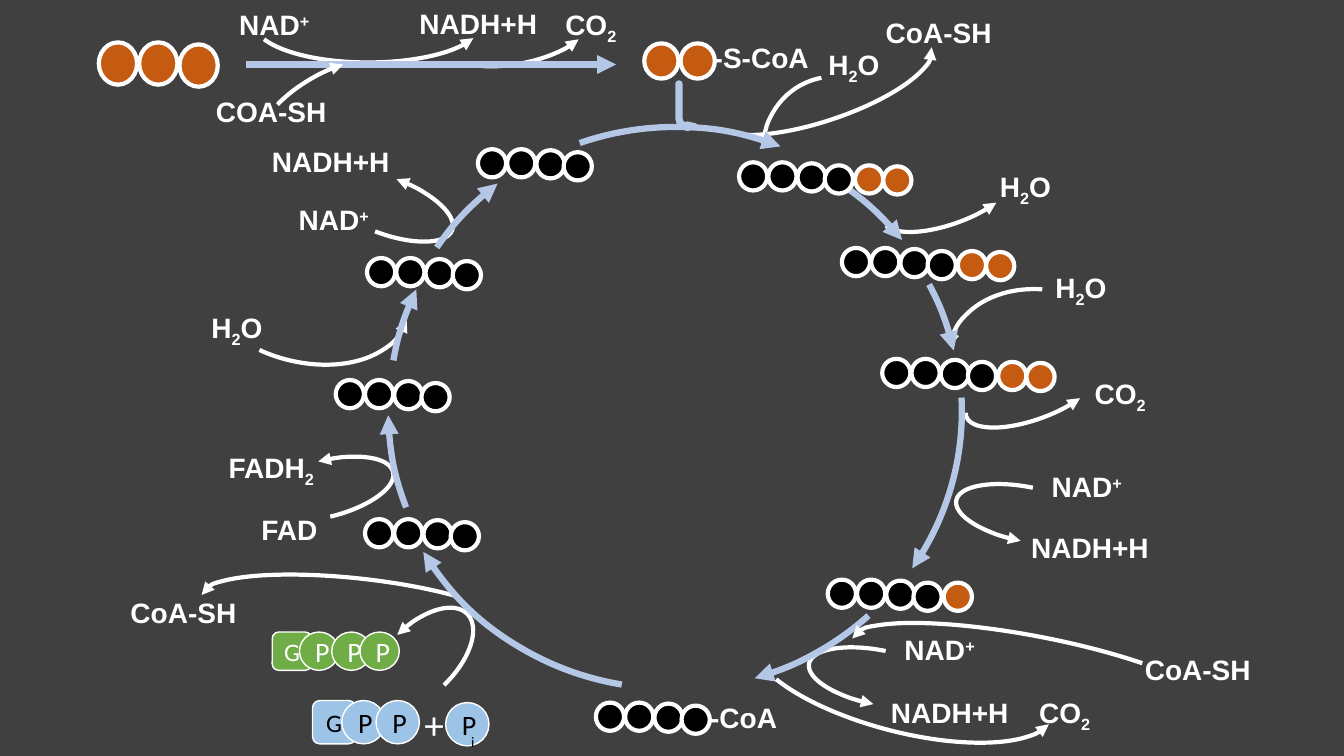
from lxml import etree
from pptx import Presentation
from pptx.dml.color import RGBColor
from pptx.enum import shapes as kinds, text as txt
from pptx.oxml import ns
from pptx.util import Inches, Pt

WHITE = RGBColor(0xFF, 0xFF, 0xFF)
BLACK = RGBColor(0, 0, 0)
GRAPHITE = RGBColor(0x40, 0x40, 0x40)
ORANGE = RGBColor(0xC5, 0x5A, 0x11)
BROWN = RGBColor(0x84, 0x3C, 0x0B)
PALE_BLUE = RGBColor(0xB4, 0xC7, 0xE7)
SKY = RGBColor(0x9D, 0xC3, 0xE6)
GREEN = RGBColor(0x70, 0xAD, 0x47)
SHAPE = kinds.MSO_SHAPE
BASELINES = {"_": "-25000", "^": "30000"}

WATER, DIOXIDE, NAD, NADH = "H|_2|O", "CO|_2", "NAD|^+", "NADH+H"
CARBON_STEPS = [(0, 0), (0.29, 0), (0.58, 0.01), (0.85, 0.03), (1.15, 0.03), (1.43, 0.04)]


def write(frame, content, size=20, font="Arial", color=WHITE, bold=False):
    paragraph = frame.paragraphs[0]
    paragraph.alignment = txt.PP_ALIGN.CENTER
    for piece in content.split("|"):
        run = paragraph.add_run()
        run.text = piece.lstrip("_^")
        run.font.size = Pt(size)
        run.font.name = font
        run.font.bold = bold
        run.font.color.rgb = color
        if piece[0] in BASELINES:
            run.font._element.set("baseline", BASELINES[piece[0]])


def label(shapes, content, left, top, width=1.04, height=0.44, wrap=True, **style):
    box = shapes.add_textbox(Inches(left), Inches(top), Inches(width), Inches(height))
    box.text_frame.word_wrap = wrap
    box.text_frame.auto_size = txt.MSO_AUTO_SIZE.SHAPE_TO_FIT_TEXT
    write(box.text_frame, content, **style)


def draw(shapes, kind, left, top, width, height, fill=None, line=WHITE, weight=3):
    part = shapes.add_shape(kind, Inches(left), Inches(top), Inches(width), Inches(height))
    part.shadow.inherit = False
    if fill is None:
        part.fill.background()
    else:
        part.fill.solid()
        part.fill.fore_color.rgb = fill
    part.line.color.rgb = line
    part.line.width = Pt(weight)
    return part


def add_arrowhead(part, end):
    etree.SubElement(part.line._get_or_add_ln(), ns.qn(f"a:{end}"), type="triangle")


def flip_vertically(part):
    part._element.spPr.find(ns.qn("a:xfrm")).set("flipV", "1")


def curve(shapes, left, top, width, height, turn, start, stop, end="headEnd", **look):
    arc = draw(shapes, SHAPE.ARC, left, top, width, height, **look)
    arc.rotation = turn
    arc.adjustments[0] = start * 0.6
    arc.adjustments[1] = stop * 0.6
    add_arrowhead(arc, end)
    return arc


def cofactors(slide, left, top, curves, labels):
    for x, y, *geometry in curves:
        curve(slide.shapes, left + x, top + y, *geometry)
    for content, x, y, *width in labels:
        label(slide.shapes, content, left + x, top + y, *width, bold=True)


def left_cofactors(slide, left, top):
    cofactors(slide, left, top, [
        (1.26, 0.76, 1.45, 2.19, 107, 269.78, 16.7),
        (0.99, 4.74, 3.13, 0.67, 6.3, 180, 344.2),
        (2.54, 5.2, 1.28, 0.68, 315.2, 270, 93.59),
        (2.14, 0.76, 1.39, 0.56, 20.5, 270, 93.59),
        (1.53, 3.57, 1.39, 0.56, 346, 270, 93.59),
    ], [
        (NAD, 1.79, 0.96), (NADH, 1.51, 0.38, 1.54), (WATER, 0.83, 2.03),
        ("FADH|_2", 1.05, 3.42, 1.28), ("FAD", 1.44, 4.04, 0.86),
        ("CoA-SH", 0.15, 4.86, 1.34),
    ])


def right_cofactors(slide, left, top):
    cofactors(slide, left, top, [
        (2.62, 2.66, 1.44, 1.87, 280.1, 269.78, 349.68),
        (1.71, 1.68, 1.41, 0.54, 159.8, 207.57, 355.41),
        (0.56, 0.77, 1.43, 1.41, 270, 269.78, 349.68),
        (-0.01, 0.47, 2.31, 0.73, 161.5, 180, 344.2),
        (2.47, 4.83, 1.41, 0.54, 191.2, 270, 93.59),
        (1.01, 6.45, 1.41, 0.54, 191.2, 270, 93.59),
        (2.54, 3.62, 1.41, 0.54, 159.8, 207.57, 3.11),
    ], [
        ("CoA-SH", 1.64, 0.1, 1.34), (WATER, 0.95, 0.42), (WATER, 2.65, 1.63),
        (WATER, 3.2, 2.63), (DIOXIDE, 3.59, 3.69), (NAD, 3.26, 4.61),
        (NADH, 3.07, 5.21, 1.48),
    ])


def lower_right_cofactors(slide, left, top):
    cofactors(slide, left, top, [
        (0, 0, 3.09, 1.1, 194.5, 183.65, 344.2),
        (1.01, 0.15, 3.64, 0.73, 10.8, 180, 344.2),
    ], [
        (NAD, 1.39, 0.07), (NADH, 1.23, 0.69, 1.56),
        (DIOXIDE, 2.63, 0.69), ("CoA-SH", 3.8, 0.26, 1.34),
    ])


def cycle_ring(slide, left, top):
    for dx, dy, start, stop in [
        (0.03, 0.03, 305.46, 322.34), (0, 0.02, 333.34, 347.53),
        (0.01, 0.01, 357.27, 33.57), (0, 0, 46.64, 73.34),
        (-0.05, -0.01, 99.82, 149.9), (0, 0, 160.09, 178.99),
        (0.01, -0.02, 189.61, 204.62), (0, -0.07, 213.23, 231.13),
        (0.01, -0.04, 250, 292),
    ]:
        curve(slide.shapes, left + dx, top + dy, 5.68, 5.54, 0, start, stop,
              end="tailEnd", line=PALE_BLUE, weight=4.5)
    entry = draw(slide.shapes, SHAPE.BENT_ARROW, left + 2.88, top - 0.47, 0.16, 0.44,
                 fill=BROWN, line=PALE_BLUE, weight=4.5)
    flip_vertically(entry)
    for index, value in enumerate((0.057, 0.108, 0.5, 0.839)):
        entry.adjustments[index] = value


def carbons(slide, places, fills, width, height):
    chain = slide.shapes.add_group_shape()
    for (x, y), fill in zip(places, fills):
        draw(chain.shapes, SHAPE.OVAL, x, y, width, height, fill=fill)


def cycle_molecules(slide, left, top):
    for x, y, orange_count in [
        (5.02, 1.16, 2), (5.42, 2.26, 2), (4.88, 4.45, 1), (0.29, 3.85, 0),
        (0, 2.47, 0), (0.31, 1.26, 0), (1.41, 0.18, 0), (4, 0.31, 2), (2.58, 5.67, 0),
    ]:
        places = [(left + x + dx, top + y + dy) for dx, dy in CARBON_STEPS]
        carbons(slide, places, [BLACK] * 4 + [ORANGE] * orange_count, 0.28, 0.28)
    label(slide.shapes, "-CoA", left + 3.54, top + 5.6, 1.01, bold=True)


def link_reaction(slide, left, top):
    cofactors(slide, left, top, [
        (3.45, 0.07, 1.41, 0.56, 168.7, 195, 334.56),
        (2.28, -0.9, 0.78, 2.26, 90, 278.09, 81.22),
    ], [
        (NADH, 3, 0.02, 1.53), (NAD, 1.22, 0.03), (DIOXIDE, 4.36, 0.03),
        ("COA-SH", 1.04, 0.89, 1.34), ("-S-CoA", 5.98, 0.35, 1.18),
    ])
    step = slide.shapes.add_connector(
        kinds.MSO_CONNECTOR.STRAIGHT, Inches(left + 1.46), Inches(top + 0.64),
        Inches(left + 5.13), Inches(top + 0.64))
    step.line.color.rgb = PALE_BLUE
    step.line.width = Pt(4.5)
    add_arrowhead(step, "tailEnd")
    etree.SubElement(step._element.spPr, ns.qn("a:effectLst"))
    coenzyme = curve(slide.shapes, left + 1.56, top + 0.76, 1.29, 0.47, 149.1, 207.57, 334.73)
    flip_vertically(coenzyme)
    pyruvate = [(left + x, top + y) for x, y in ((0, 0.42), (0.4, 0.42), (0.8, 0.44))]
    carbons(slide, pyruvate, [ORANGE] * 3, 0.38, 0.42)
    acetyl = [(left + x, top + 0.43) for x in (5.41, 5.77)]
    carbons(slide, acetyl, [ORANGE] * 2, 0.34, 0.35)


def nucleotide(slide, left, top, width, height, fill, color, phosphates):
    group = slide.shapes.add_group_shape()
    guanosine = draw(group.shapes, SHAPE.ROUNDED_RECTANGLE, left, top, width, height,
                     fill=fill, weight=1)
    write(guanosine.text_frame, "G", size=18, font="Calibri", color=color)
    for dx, dy in phosphates:
        phosphate = draw(group.shapes, SHAPE.OVAL, left + dx, top + dy, width, height,
                         fill=fill, weight=1)
        write(phosphate.text_frame, "P", font="Calibri", color=color)
    return group


def phosphorylation(slide, left, top):
    nucleotide(slide, left, top, 0.39, 0.38, GREEN, WHITE, [(0.27, 0), (0.59, 0), (0.87, 0)])
    diphosphate = nucleotide(slide, left + 0.4, top + 0.68, 0.43, 0.43, SKY, BLACK,
                             [(0.29, 0), (0.63, 0), (1.32, 0.02)])
    label(diphosphate.shapes, "+", left + 1.36, top + 0.63, 0.49, 0.57, size=28, font="Calibri")
    label(diphosphate.shapes, "^i", left + 1.87, top + 0.92, 0.24, 0.3, wrap=False,
          size=18, font="Calibri", color=BLACK)


def main():
    deck = Presentation()
    deck.slide_width, deck.slide_height = Inches(13.33), Inches(7.5)
    slide = deck.slides.add_slide(deck.slide_layouts[6])
    slide.background.fill.solid()
    slide.background.fill.fore_color.rgb = GRAPHITE
    left_cofactors(slide, 1, 1)
    right_cofactors(slide, 7, 0)
    cycle_ring(slide, 3.85, 1.3)
    link_reaction(slide, 0.98, 0)
    cycle_molecules(slide, 3.33, 1.3)
    lower_right_cofactors(slide, 7.41, 6.16)
    phosphorylation(slide, 2.7, 6.27)
    deck.save("out.pptx")


if __name__ == "__main__":
    main()
